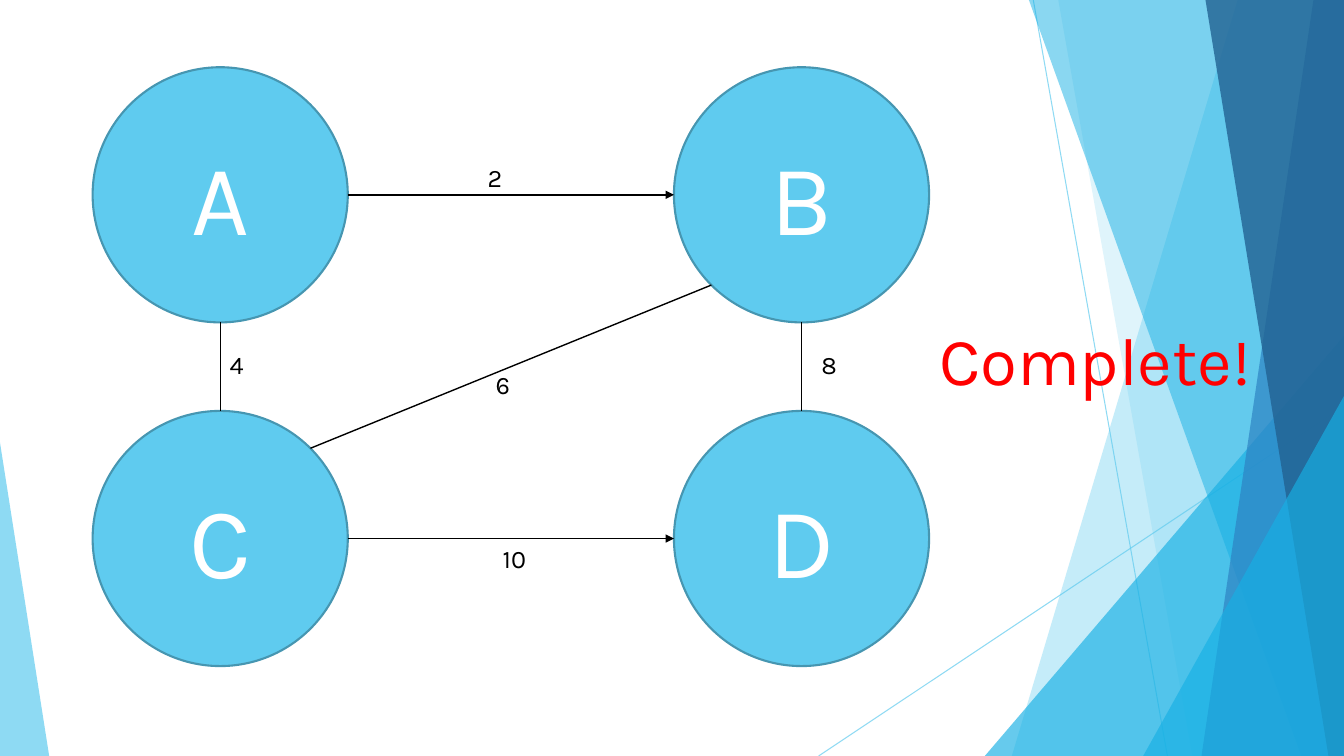
import math
from dataclasses import dataclass

import lxml.etree
import pptx
import pptx.dml.color
import pptx.dml.fill
import pptx.enum.shapes
import pptx.enum.text
import pptx.oxml.ns
import pptx.shapes.autoshape
import pptx.shapes.connector
import pptx.slide
import pptx.util

Cm = pptx.util.Cm
Pt = pptx.util.Pt
Kinds = pptx.enum.shapes.MSO_SHAPE
Align = pptx.enum.text.PP_ALIGN
Anchor = pptx.enum.text.MSO_ANCHOR
qn = pptx.oxml.ns.qn

WIDTH, HEIGHT = 33.87, 19.05
DIAMETER = 6.43
RADIUS = DIAMETER / 2
LEFT_COLUMN, RIGHT_COLUMN = 5.55, 20.2
UPPER_ROW, LOWER_ROW = 4.91, 13.57
SKY, AZURE = "5FCBEF", "17B0E4"
BLACK, WHITE = "000000", "FFFFFF"


@dataclass
class Ray:
    start: tuple[float, float]
    end: tuple[float, float]


@dataclass
class Facet:
    upper_x: float
    lower_x: float
    colour: str
    opacity: int


@dataclass
class Spike:
    left: float
    top: float
    width: float
    apex: float
    colour: str
    opacity: int


@dataclass
class Edge:
    start: str
    end: str
    angle: float
    weight: str
    label_left: float
    label_top: float
    label_width: float = 0.92
    arrow: bool = False
    backing: str | None = None


RAYS = [
    Ray((26.04, 0), (29.42, HEIGHT)),
    Ray((WIDTH, 10.23), (20.63, HEIGHT)),
]
DECORATION = [
    Facet(31.19, 25.5, SKY, 36),
    Facet(26.67, 30.05, SKY, 20),
    Spike(24.82, 8.46, 9.05, 1, AZURE, 66),
    Facet(25.93, 32.79, AZURE, 50),
    Facet(33.1, 30.28, "2E83C3", 70),
    Facet(30.38, 33.48, "226292", 80),
    Spike(28.81, 9.98, 5.06, 1, AZURE, 66),
    Spike(0, 11.15, 1.24, 0, SKY, 70),
]
NODES = {
    "A": (LEFT_COLUMN, UPPER_ROW),
    "B": (RIGHT_COLUMN, UPPER_ROW),
    "C": (LEFT_COLUMN, LOWER_ROW),
    "D": (RIGHT_COLUMN, LOWER_ROW),
}
EDGES = [
    Edge("A", "B", 0, "2", 12.04, 3.96, arrow=True),
    Edge("D", "B", 90, "8", 20.45, 8.69, backing=WHITE),
    Edge("C", "D", 0, "10", 12.42, 13.56, label_width=1.7, arrow=True),
    Edge("C", "B", 45, "6", 12.24, 9.19),
    Edge("C", "A", 90, "4", 5.54, 8.69),
]


def apply(target: object, values: dict[str, object]) -> None:
    for name, value in values.items():
        setattr(target, name, value)


def paint(fill: pptx.dml.fill.FillFormat, colour: str, opacity: int = 100) -> None:
    fill.solid()
    fill.fore_color.rgb = pptx.dml.color.RGBColor.from_string(colour)
    if opacity < 100:
        node = fill._xPr.find(".//" + qn("a:srgbClr"))
        lxml.etree.SubElement(node, qn("a:alpha"), val=str(opacity * 1000))


def write(box: pptx.shapes.autoshape.Shape, text: str, size: int, colour: str,
          align: Align = Align.LEFT) -> None:
    para = box.text_frame.paragraphs[0]
    para.alignment = align
    span = para.add_run()
    span.text = text
    apply(span.font, {"name": "Karla", "size": Pt(size)})
    paint(span.font.fill, colour)


def add_label(page: pptx.slide.Slide, text: str, size: int, colour: str,
              left: float, top: float, width: float, height: float,
              backing: str | None = None) -> None:
    box = page.shapes.add_textbox(Cm(left), Cm(top), Cm(width), Cm(height))
    apply(box.text_frame, {
        "word_wrap": True,
        "auto_size": pptx.enum.text.MSO_AUTO_SIZE.SHAPE_TO_FIT_TEXT,
    })
    if backing:
        paint(box.fill, backing)
    write(box, text, size, colour)


def add_line(page: pptx.slide.Slide, start: tuple[float, float],
             end: tuple[float, float], colour: str, weight: float,
             opacity: int = 100) -> pptx.shapes.connector.Connector:
    line = page.shapes.add_connector(
        pptx.enum.shapes.MSO_CONNECTOR.STRAIGHT, *map(Cm, start + end))
    line.line.width = Pt(weight)
    paint(line.line.fill, colour, opacity)
    lxml.etree.SubElement(line._element.spPr, qn("a:effectLst"))
    return line


def add_decoration(page: pptx.slide.Slide, piece: Facet | Spike) -> None:
    if isinstance(piece, Facet):
        builder = page.shapes.build_freeform(Cm(piece.upper_x), 0, scale=1.0)
        corners = [(WIDTH, 0), (WIDTH, HEIGHT), (piece.lower_x, HEIGHT)]
        builder.add_line_segments([(Cm(x), Cm(y)) for x, y in corners])
        shape = builder.convert_to_shape()
    else:
        shape = page.shapes.add_shape(
            Kinds.ISOSCELES_TRIANGLE, Cm(piece.left), Cm(piece.top),
            Cm(piece.width), Cm(HEIGHT - piece.top))
        shape.adjustments[0] = piece.apex
    paint(shape.fill, piece.colour, piece.opacity)
    shape.line.fill.background()
    shape.shadow.inherit = False


def add_node(page: pptx.slide.Slide, name: str, centre: tuple[float, float]) -> None:
    x, y = centre
    circle = page.shapes.add_shape(
        Kinds.OVAL, Cm(x - RADIUS), Cm(y - RADIUS), Cm(DIAMETER), Cm(DIAMETER))
    circle.shadow.inherit = False
    paint(circle.fill, SKY)
    circle.line.width = Pt(1.5)
    paint(circle.line.fill, "4696B1")
    circle.text_frame.vertical_anchor = Anchor.MIDDLE
    write(circle, name, 72, WHITE, Align.CENTER)


def add_edge(page: pptx.slide.Slide, edge: Edge) -> None:
    across = RADIUS * math.cos(math.radians(edge.angle))
    down = -RADIUS * math.sin(math.radians(edge.angle))
    (start_x, start_y), (end_x, end_y) = NODES[edge.start], NODES[edge.end]
    line = add_line(page, (start_x + across, start_y + down),
                    (end_x - across, end_y - down), BLACK, 1)
    if edge.arrow:
        lxml.etree.SubElement(line.line._ln, qn("a:tailEnd"), type="triangle")
    add_label(page, edge.weight, 18, BLACK, edge.label_left, edge.label_top,
              edge.label_width, 1.02, edge.backing)


def main() -> None:
    deck = pptx.Presentation()
    apply(deck, {"slide_width": Cm(WIDTH), "slide_height": Cm(HEIGHT)})
    page = deck.slides.add_slide(deck.slide_layouts[6])
    paint(page.background.fill, WHITE)
    for ray in RAYS:
        add_line(page, ray.start, ray.end, SKY, 0.75, 70)
    for piece in DECORATION:
        add_decoration(page, piece)
    for name, centre in NODES.items():
        add_node(page, name, centre)
    for edge in EDGES:
        add_edge(page, edge)
    add_label(page, "Complete!", 48, "FF0000", 23.42, 7.9, 9.4, 2.31)
    deck.save("out.pptx")


if __name__ == "__main__":
    main()
